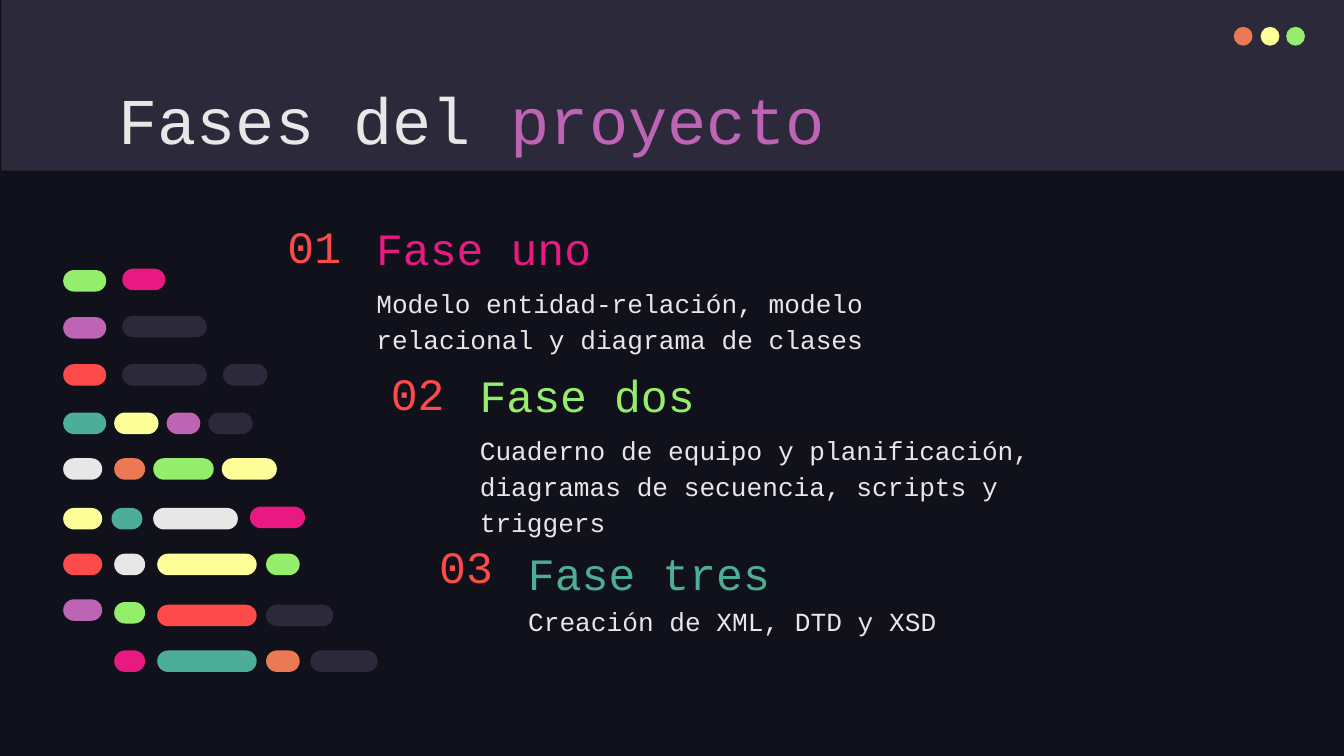
from typing import NamedTuple

from lxml.etree import SubElement
from pptx import Presentation
from pptx.dml.color import RGBColor
from pptx.enum.shapes import MSO_SHAPE
from pptx.enum.text import MSO_ANCHOR, MSO_AUTO_SIZE, PP_ALIGN
from pptx.oxml.ns import qn
from pptx.util import Inches, Pt

COLORS = {
    "night": "10111A", "slate": "2C293A", "white": "E7E7E7",
    "purple": "BD64B5", "red": "FD4A4A", "pink": "E81A81",
    "green": "94EE6B", "teal": "4CAE97", "orange": "EC7955",
    "yellow": "FFFF99",
}
FONT = "Courier New"
SLIDE_WIDTH = Inches(10)
SLIDE_HEIGHT = SLIDE_WIDTH * 9 // 16
COLUMNS = 100
ROWS = COLUMNS * 9 / 16
PILL_HEIGHT = 1.6

PHASES = [
    ("01", "Fase uno", "Modelo entidad-relación, modelo relacional y diagrama de clases",
     "pink", (20.4, 16.1), 4.3, 3.9),
    ("02", "Fase dos", "Cuaderno de equipo y planificación, diagramas de secuencia, scripts y triggers",
     "green", (28.1, 27.1), 4.3, 3.9),
    ("03", "Fase tres", "Creación de XML, DTD y XSD",
     "teal", (31.7, 40.3), 3.6, 3.4),
]

CODE_LINES = [
    [(0, 0.1, 3.2, "green"), (4.4, 0, 3.2, "pink")],
    [(0, 3.6, 3.2, "purple"), (4.4, 3.5, 6.3, "slate")],
    [(0, 7.1, 3.2, "red"), (4.4, 7.1, 6.3, "slate"), (11.9, 7.1, 3.3, "slate")],
    [(0, 10.7, 3.2, "teal"), (3.8, 10.7, 3.3, "yellow"),
     (7.7, 10.7, 2.5, "purple"), (10.8, 10.7, 3.3, "slate")],
    [(0, 14.1, 2.9, "white"), (3.8, 14.1, 2.3, "orange"),
     (6.7, 14.1, 4.5, "green"), (11.8, 14.1, 4.1, "yellow")],
    [(0, 17.8, 2.9, "yellow"), (3.6, 17.8, 2.3, "teal"),
     (6.7, 17.8, 6.3, "white"), (13.9, 17.7, 4.1, "pink")],
    [(0, 21.2, 2.9, "red"), (3.8, 21.2, 2.3, "white"),
     (7, 21.2, 7.4, "yellow"), (15.1, 21.2, 2.5, "green")],
    [(0, 24.6, 2.9, "purple"), (3.8, 24.8, 2.3, "green"),
     (7, 25, 7.4, "red"), (15.1, 25, 5, "slate")],
    [(3.8, 28.4, 2.3, "pink"), (7, 28.4, 7.4, "teal"),
     (15.1, 28.4, 2.5, "orange"), (18.4, 28.4, 5, "slate")],
]


class Box(NamedTuple):
    left: float
    top: float
    width: float
    height: float

    def inner(self, left, top, width, height):
        return Box(self.left + left, self.top + top, width, height)

    def lengths(self):
        column, row = SLIDE_WIDTH / COLUMNS, SLIDE_HEIGHT / ROWS
        return (round(self.left * column), round(self.top * row),
                round(self.width * column), round(self.height * row))


def rgb(color):
    return RGBColor.from_string(COLORS[color])


def add_filled(slide, kind, box, color):
    shape = slide.shapes.add_shape(kind, *box.lengths())
    shape.shadow.inherit = False
    shape.fill.solid()
    shape.fill.fore_color.rgb = rgb(color)
    shape.line.fill.background()
    return shape


def write(slide, box, runs, *, size, holder=None, anchor=MSO_ANCHOR.TOP, spacing=1.0):
    if holder is None:
        holder = slide.shapes.add_textbox(*box.lengths())
    holder.left, holder.top, holder.width, holder.height = box.lengths()
    frame = holder.text_frame
    frame.word_wrap = True
    frame.auto_size = MSO_AUTO_SIZE.NONE
    frame.vertical_anchor = anchor
    frame.margin_left = frame.margin_right = Inches(0.1)
    frame.margin_top = frame.margin_bottom = Inches(0.1)
    paragraph = frame.paragraphs[0]
    properties = paragraph._p.get_or_add_pPr()
    properties.set("marL", "0")
    properties.set("indent", "0")
    SubElement(properties, qn("a:buNone"))
    paragraph.alignment = PP_ALIGN.LEFT
    paragraph.line_spacing = spacing
    paragraph.space_before = Pt(0)
    for text, color in runs:
        run = paragraph.add_run()
        run.text = text
        run.font.name = FONT
        run.font.size = Pt(size)
        run.font.bold = False
        run.font.color.rgb = rgb(color)


def add_header(slide, box):
    band = add_filled(slide, MSO_SHAPE.RECTANGLE, box, "slate")
    title = slide.shapes.title
    title._element.addprevious(band._element)
    for left, color in ((91.7, "orange"), (93.7, "yellow"), (95.6, "green")):
        add_filled(slide, MSO_SHAPE.OVAL, box.inner(left, 2, 1.4, 1.4), color)
    write(slide, box.inner(7.7, 4.9, 84.3, 6.3),
          [("Fases del ", "white"), ("proyecto", "purple")], size=35, holder=title)


def add_phase(slide, box, phase, body):
    number, heading, description, color, _, number_height, body_top = phase
    write(slide, box.inner(0, 0, 6.6, number_height), [(number, "red")],
          size=24, anchor=MSO_ANCHOR.MIDDLE)
    write(slide, box.inner(6.6, 0, 46, 5.3), [(heading, color)],
          size=24, anchor=MSO_ANCHOR.BOTTOM, spacing=1.15)
    write(slide, box.inner(6.6, body_top, 46, 6.3), [(description, "white")],
          size=14, holder=body, spacing=1.15)


def add_code_lines(slide, box):
    for line in CODE_LINES:
        for left, top, width, color in line:
            pill = add_filled(slide, MSO_SHAPE.ROUNDED_RECTANGLE,
                              box.inner(left, top, width, PILL_HEIGHT), color)
            pill.adjustments[0] = 0.5


def main():
    deck = Presentation()
    deck.slide_width, deck.slide_height = SLIDE_WIDTH, SLIDE_HEIGHT
    slide = deck.slides.add_slide(deck.slide_layouts[4])
    slide.background.fill.solid()
    slide.background.fill.fore_color.rgb = rgb("night")
    bodies = [holder for holder in slide.placeholders
              if holder.placeholder_format.idx in (1, 2, 3, 4)]
    spare = bodies.pop()
    spare._element.getparent().remove(spare._element)

    add_header(slide, Box(0.1, 0, COLUMNS, 12.7))
    for phase, body in zip(PHASES, bodies):
        add_phase(slide, Box(*phase[4], 52.6, 10.2), phase, body)
    add_code_lines(slide, Box(4.7, 20, 23.4, 30))
    deck.save("out.pptx")


if __name__ == "__main__":
    main()
